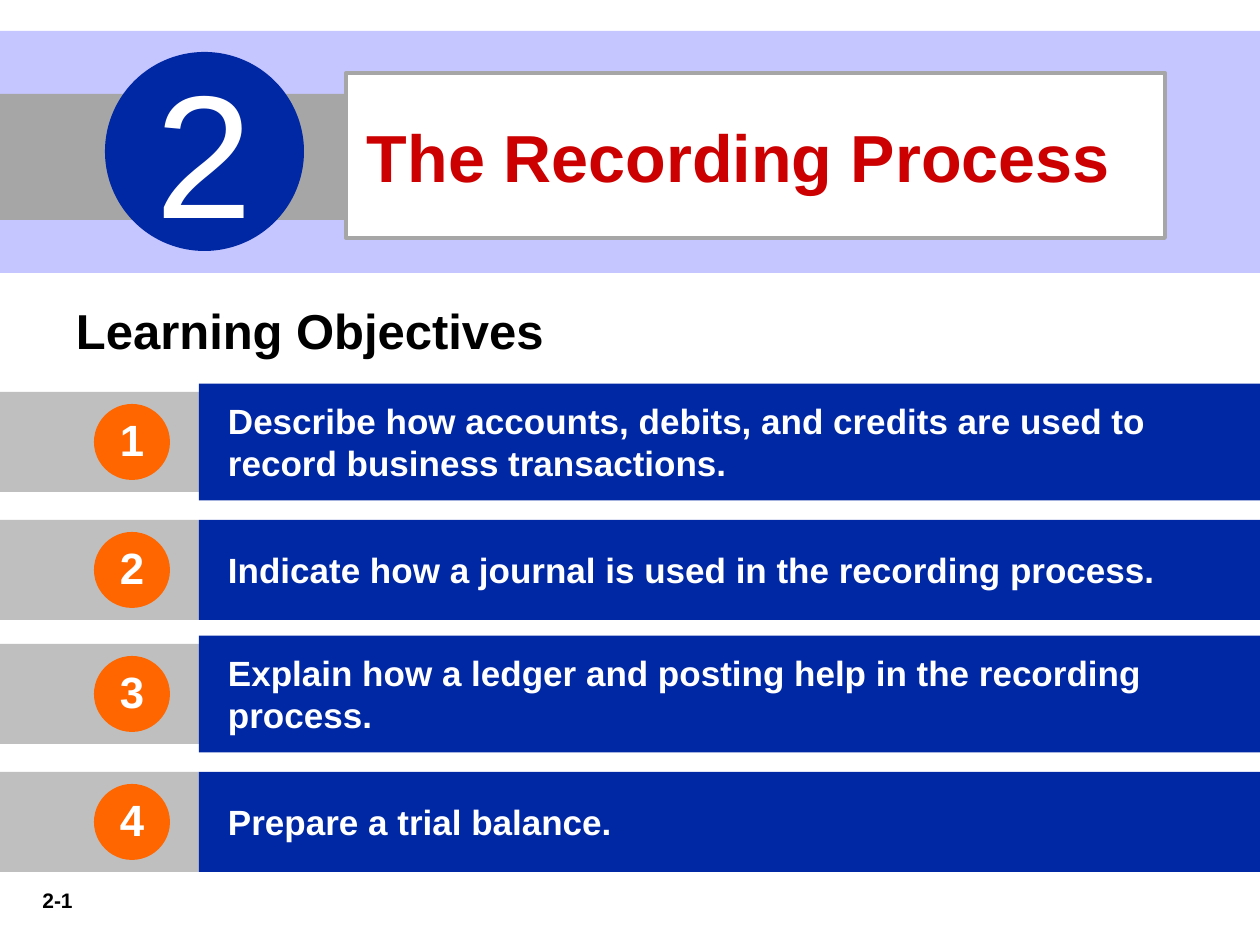
from dataclasses import dataclass

from pptx import Presentation
from pptx.dml.color import RGBColor
from pptx.enum.shapes import MSO_SHAPE
from pptx.enum.text import MSO_ANCHOR, PP_ALIGN
from pptx.util import Emu, Pt

RECTANGLE = MSO_SHAPE.RECTANGLE
OVAL = MSO_SHAPE.OVAL
TOP = MSO_ANCHOR.TOP
MIDDLE = MSO_ANCHOR.MIDDLE
LEFT = PP_ALIGN.LEFT
CENTER = PP_ALIGN.CENTER

PX_PER_INCH = 126
SLIDE_WIDTH, SLIDE_HEIGHT = 1260, 945


@dataclass(frozen=True)
class Theme:
    font: str = "Arial"
    white: str = "FFFFFF"
    black: str = "000000"
    lavender: str = "C5C5FF"
    gray: str = "A6A6A6"
    light_gray: str = "BFBFBF"
    navy: str = "0027A4"
    orange: str = "FF6600"
    red: str = "CC0000"
    chapter_size: int = 100
    title_size: int = 38
    heading_size: int = 28
    badge_size: int = 25
    objective_size: int = 20
    footer_size: int = 12


THEME = Theme()

OBJECTIVES = [
    ("Describe how accounts, debits, and credits are used to record business transactions.", 117),
    ("Indicate how a journal is used in the recording process.", 100),
    ("Explain how a ledger and posting help in the recording process.", 117),
    ("Prepare a trial balance.", 100),
]


def px(length):
    return Emu(round(length * 914400 / PX_PER_INCH))


def color(value):
    return RGBColor.from_string(value)


def add_block(slide, kind, box, fill, line=None):
    shape = slide.shapes.add_shape(kind, *map(px, box))
    shape.shadow.inherit = False
    shape.fill.solid()
    shape.fill.fore_color.rgb = color(fill)
    if line:
        shape.line.color.rgb = color(line)
        shape.line.width = Pt(2.25)
    else:
        shape.line.fill.background()
    return shape


def write(shape, text, size, ink, bold=True, align=LEFT, anchor=MIDDLE,
          insets=(13, 6, 13, 6), space_before=0):
    frame = shape.text_frame
    frame.word_wrap = True
    frame.vertical_anchor = anchor
    (frame.margin_left, frame.margin_top,
     frame.margin_right, frame.margin_bottom) = map(px, insets)
    paragraph = frame.paragraphs[0]
    paragraph.text = text
    paragraph.alignment = align
    paragraph.space_before = Pt(space_before)
    paragraph.font.name = THEME.font
    paragraph.font.size = Pt(size)
    paragraph.font.bold = bold
    paragraph.font.color.rgb = color(ink)


def add_label(slide, box, text, size, align, space_before):
    label = slide.shapes.add_textbox(*map(px, box))
    write(label, text, size, THEME.black, align=align, anchor=TOP,
          space_before=space_before)


def add_number(slide, box, text, fill, size, bold):
    circle = add_block(slide, OVAL, box, fill)
    write(circle, text, size, THEME.white, bold=bold, align=CENTER,
          insets=(13, 0, 13, 6))


def add_banner(slide, box, number, title):
    left, top, width, height = box
    add_block(slide, RECTANGLE, box, THEME.lavender)
    add_block(slide, RECTANGLE, (left, top + 63, 346, 126), THEME.gray)
    title_box = add_block(slide, RECTANGLE, (left + 346, top + 42, 819, 165),
                          THEME.white, THEME.gray)
    write(title_box, title, THEME.title_size, THEME.red,
          insets=(21, 6, 13, 6), space_before=7)
    add_number(slide, (left + 105, top + 21, 199, 199), number,
               THEME.navy, THEME.chapter_size, False)


def add_objective(slide, box, number, text, panel_height):
    left, top, width, height = box
    tab_width, badge = 199, 76
    middle = top + height / 2
    add_block(slide, RECTANGLE, (left, top, tab_width, height), THEME.light_gray)
    panel = add_block(slide, RECTANGLE,
                      (left + tab_width, middle - panel_height / 2,
                       width - tab_width, panel_height), THEME.navy)
    write(panel, text, THEME.objective_size, THEME.white, insets=(29, 4, 13, 6))
    add_number(slide, (left + 94, middle - badge / 2, badge, badge), str(number),
               THEME.orange, THEME.badge_size, True)


def add_objectives(slide, box):
    left, top, width, height = box
    row_height, pair_pitch, second_offset = 100, 252, 128
    for index, (text, panel_height) in enumerate(OBJECTIVES):
        pair, second = divmod(index, 2)
        row_top = top + pair * pair_pitch + second * second_offset
        add_objective(slide, (left, row_top, width, row_height),
                      index + 1, text, panel_height)


def main():
    presentation = Presentation()
    presentation.slide_width = px(SLIDE_WIDTH)
    presentation.slide_height = px(SLIDE_HEIGHT)
    slide = presentation.slides.add_slide(presentation.slide_layouts[6])
    add_label(slide, (10, 882, 95, 38), "2-1", THEME.footer_size, CENTER, 2)
    add_banner(slide, (0, 31, SLIDE_WIDTH, 242), "2", "The Recording Process")
    add_label(slide, (63, 294, 609, 72), "Learning Objectives",
              THEME.heading_size, LEFT, 3)
    add_objectives(slide, (0, 392, SLIDE_WIDTH, 480))
    presentation.save("out.pptx")


if __name__ == "__main__":
    main()
